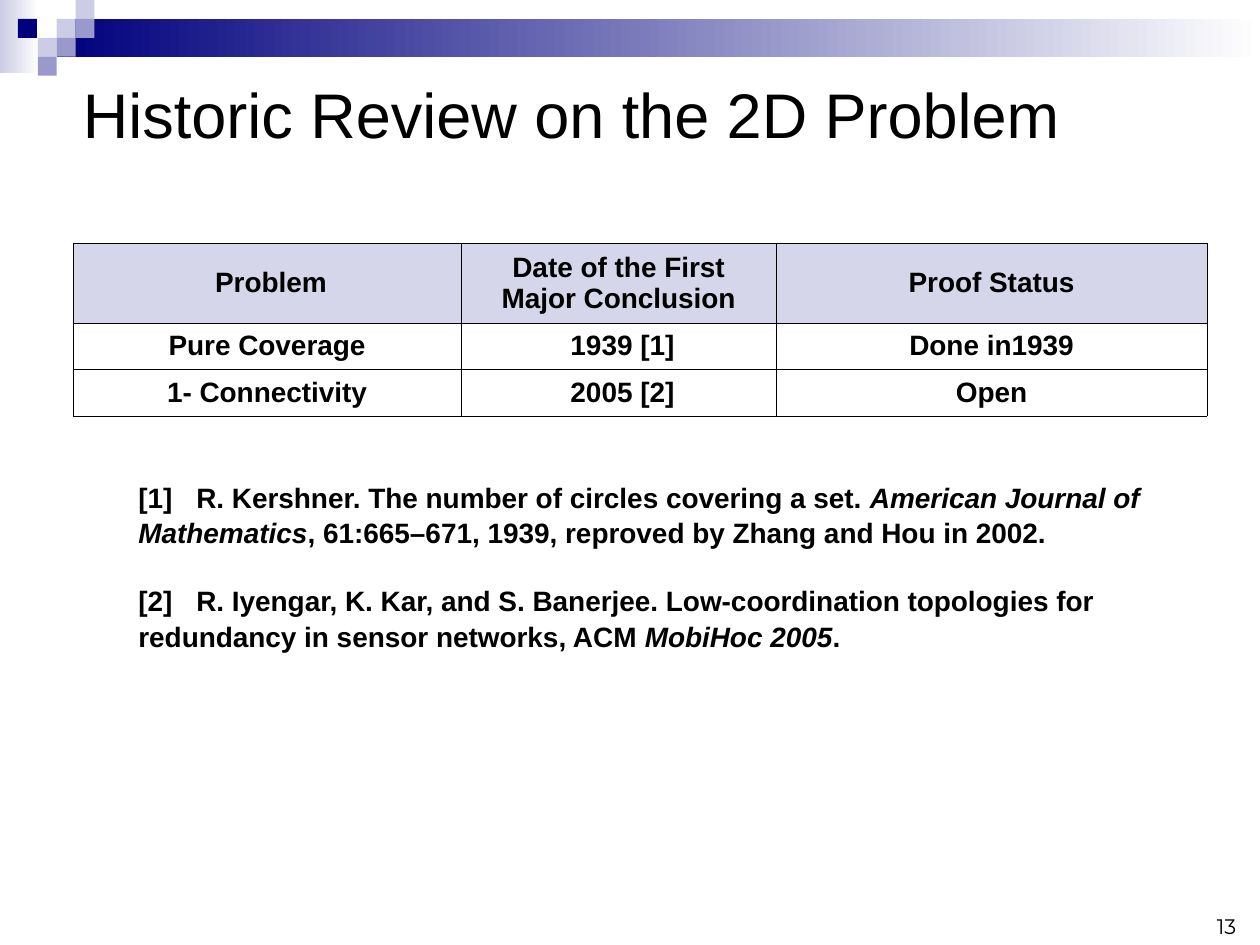
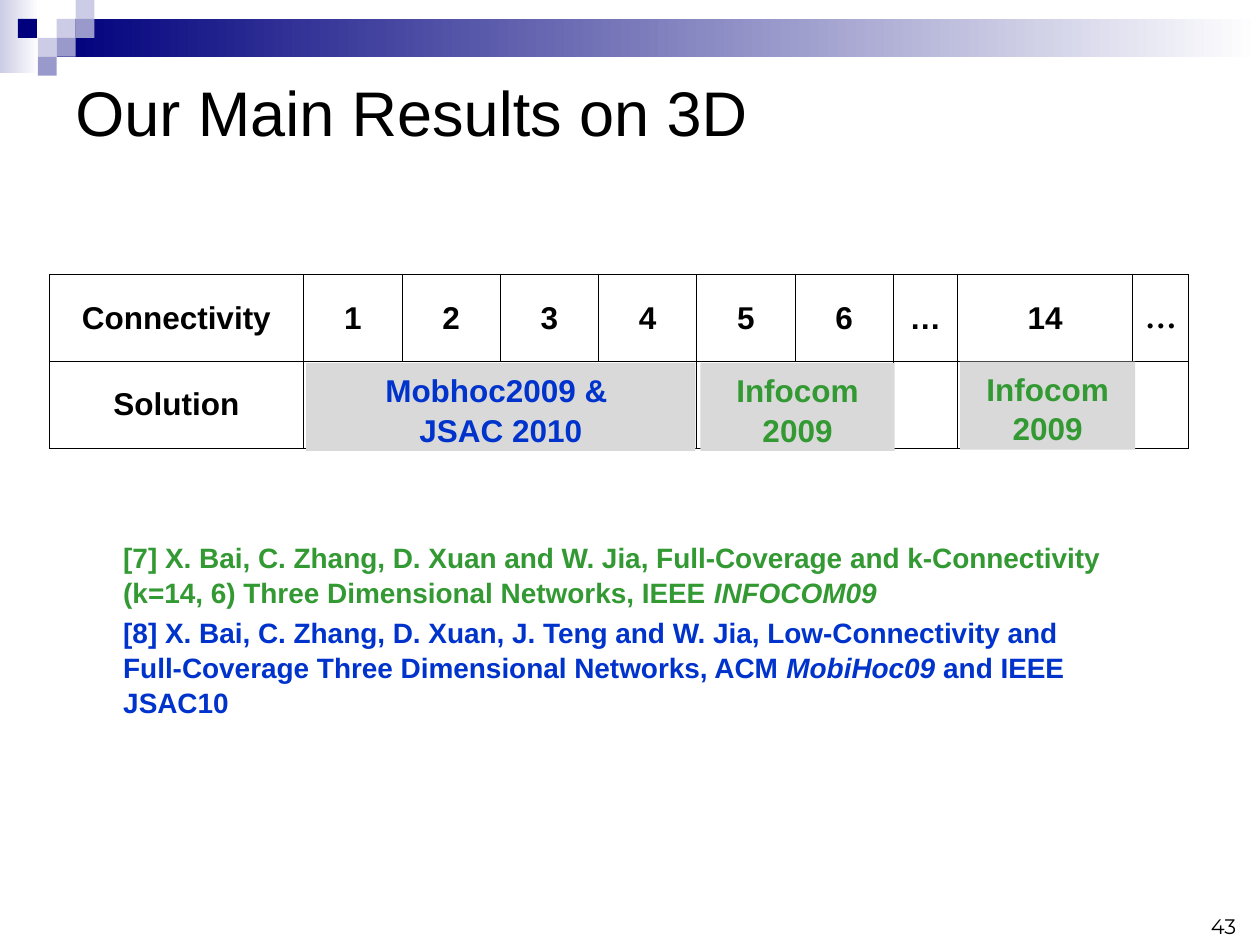
"""Build two slides of results on coverage and connectivity."""
from dataclasses import dataclass

from lxml import etree
from pptx import Presentation
from pptx import util as u
from pptx.dml.color import RGBColor
from pptx.enum import shapes, text
from pptx.oxml.ns import qn


@dataclass(frozen=True)
class Theme:
    black: str = "000000"
    white: str = "FFFFFF"
    navy: str = "00007D"
    lilac: str = "9999CC"
    pale: str = "CCCCE6"
    header: str = "D6D6EB"
    gray: str = "D9D9D9"
    green: str = "339933"
    blue: str = "0033CC"
    font: str = "Arial"
    number_font: str = "Montserrat"
    dots_font: str = "Times New Roman"
    title_size: int = 36
    large_size: int = 18
    body_size: int = 16
    number_size: int = 12
    border: float = 0.45
    leading: float = 1.05


class Builder:
    def __init__(self, theme):
        self.theme = theme
        self.deck = Presentation()
        self.deck.slide_width = u.Inches(10)
        self.deck.slide_height = u.Inches(7.5)
        self.page = None

    def add_page(self, title, title_area, number):
        theme = self.theme
        self.page = self.deck.slides.add_slide(self.deck.slide_layouts[6])
        self.add_rectangle((0, 0, 0.31, 0.58), theme.pale, theme.white)
        self.add_rectangle((0.45, 0.15, 9.55, 0.3), theme.navy, theme.white)
        step = 0.15
        squares = [(3, 1, theme.pale), (4, 0, theme.pale), (4, 1, theme.lilac),
                   (2, 2, theme.pale), (0.95, 1, theme.navy),
                   (3, 2, theme.lilac), (2, 3, theme.lilac)]
        for column, row, color in squares:
            self.add_rectangle((column * step, row * step, step, step), color)
        self.add_label((7.58, 7, 2.33, 0.5), number, theme.number_size,
                       theme.number_font, text.MSO_ANCHOR.BOTTOM, text.PP_ALIGN.RIGHT)
        self.add_label(title_area, title, theme.title_size)

    def style(self, paragraph, size, color, bold=True, font=None):
        paragraph.font.size = u.Pt(size)
        for span in paragraph.runs:
            span.font.name = font or self.theme.font
            span.font.size = u.Pt(size)
            span.font.bold = bold
            span.font.color.rgb = RGBColor.from_string(color)

    def add_rectangle(self, area, color, end_color=None):
        box = self.page.shapes.add_shape(
            shapes.MSO_SHAPE.RECTANGLE, *map(u.Inches, area))
        box.shadow.inherit = False
        box.line.fill.background()
        if end_color:
            box.fill.gradient()
            box.fill.gradient_angle = 0
            for stop, shade in zip(box.fill.gradient_stops, (color, end_color)):
                stop.color.rgb = RGBColor.from_string(shade)
        else:
            box.fill.solid()
            box.fill.fore_color.rgb = RGBColor.from_string(color)
        return box

    def add_frame(self, area, anchor):
        frame = self.page.shapes.add_textbox(*map(u.Inches, area)).text_frame
        frame.word_wrap = True
        frame.vertical_anchor = anchor
        return frame

    def add_label(self, area, label, size, font=None,
                  anchor=text.MSO_ANCHOR.MIDDLE, align=text.PP_ALIGN.LEFT):
        frame = self.add_frame(area, anchor)
        frame.text = label
        para = frame.paragraphs[0]
        para.alignment = align
        self.style(para, size, self.theme.black, bold=False, font=font)

    def add_references(self, area, references, color, gap=0, tab=None):
        frame = self.add_frame(area, text.MSO_ANCHOR.TOP)
        for index, (before, italic, after) in enumerate(references):
            para = frame.add_paragraph() if index else frame.paragraphs[0]
            para.line_spacing = self.theme.leading
            if index:
                para.space_before = u.Pt(gap)
            if tab:
                tabs = etree.SubElement(para._p.get_or_add_pPr(), qn("a:tabLst"))
                etree.SubElement(tabs, qn("a:tab"), pos=str(u.Inches(tab)), algn="l")
            for part in filter(None, (before, italic, after)):
                span = para.add_run()
                span.text = part
                span.font.italic = part == italic
            self.style(para, self.theme.body_size, color)

    def add_solution(self, area, label, color):
        box = self.add_rectangle(area, self.theme.gray)
        frame = box.text_frame
        frame.word_wrap = True
        frame.vertical_anchor = text.MSO_ANCHOR.TOP
        frame.text = label
        for para in frame.paragraphs:
            para.alignment = text.PP_ALIGN.CENTER
            para.line_spacing = self.theme.leading
            self.style(para, self.theme.large_size, color)

    def set_borders(self, cell):
        properties = cell._tc.get_or_add_tcPr()
        for side in ("lnL", "lnR", "lnT", "lnB"):
            line = etree.SubElement(properties, qn(f"a:{side}"),
                                    w=str(u.Pt(self.theme.border)))
            fill = etree.SubElement(line, qn("a:solidFill"))
            etree.SubElement(fill, qn("a:srgbClr"), val=self.theme.black)

    def add_table(self, corner, widths, heights, rows, size, header=None):
        area = (*corner, sum(widths), sum(heights))
        table = self.page.shapes.add_table(
            len(rows), len(widths), *map(u.Inches, area)).table
        table.first_row = table.horz_banding = False
        for column, width in zip(table.columns, widths):
            column.width = u.Inches(width)
        for row, height in zip(table.rows, heights):
            row.height = u.Inches(height)
        for row_index, row in enumerate(rows):
            for column_index, label in enumerate(row):
                cell = table.cell(row_index, column_index)
                self.set_borders(cell)
                if header and row_index == 0:
                    cell.fill.solid()
                    cell.fill.fore_color.rgb = RGBColor.from_string(header)
                else:
                    cell.fill.background()
                cell.vertical_anchor = text.MSO_ANCHOR.MIDDLE
                cell.text_frame.text = label
                para = cell.text_frame.paragraphs[0]
                para.alignment = text.PP_ALIGN.CENTER
                self.style(para, size, self.theme.black)
        return table


def add_review(builder):
    theme = builder.theme
    builder.add_page("Historic Review on the 2D Problem", (0.56, 0.47, 8.72, 0.86), "13")
    rows = [(" Problem", "Date of the First Major Conclusion", "Proof Status"),
            ("Pure Coverage", " 1939 [1]", "Done in1939"),
            ("1- Connectivity", " 2005 [2]", "Open")]
    builder.add_table((0.58, 1.93), (3.08, 2.5, 3.42), (0.63, 0.37, 0.37),
                      rows, theme.body_size, theme.header)
    references = [
        ("[1]\tR. Kershner. The number of circles covering a set. ",
         "American Journal of Mathematics",
         ", 61:665–671, 1939, reproved by Zhang and Hou in 2002."),
        ("[2]\tR. Iyengar, K. Kar, and S. Banerjee. Low-coordination topologies "
         "for redundancy in sensor networks, ACM ", "MobiHoc 2005", ".")]
    builder.add_references((1, 3.75, 8.33, 1.44), references, theme.black,
                           gap=19, tab=0.46)


def add_results(builder):
    theme = builder.theme
    builder.add_page("Our Main Results on 3D", (0.5, 0.59, 9, 0.58), "43")
    rows = [("Connectivity", *"123456", "…", "14", "…"),
            ("Solution", *[""] * 9)]
    table = builder.add_table((0.39, 2.18), (2.02, *[0.78] * 6, 0.51, 1.39, 0.44),
                              (0.69, 0.69), rows, theme.large_size)
    last_dots = table.cell(0, 9).text_frame.paragraphs[0]
    builder.style(last_dots, theme.large_size, theme.black, font=theme.dots_font)
    for first, last in ((1, 4), (5, 6)):
        table.cell(1, first).merge(table.cell(1, last))
    solutions = [((5.56, 2.88, 1.54, 0.7), "Infocom 2009", theme.green),
                 ((7.62, 2.87, 1.39, 0.7), "Infocom 2009", theme.green),
                 ((2.43, 2.88, 3.09, 0.7), "Mobhoc2009 & \nJSAC 2010", theme.blue)]
    for solution in solutions:
        builder.add_solution(*solution)
    builder.add_references(
        (0.88, 4.23, 8.2, 0.64),
        [("[7] X. Bai, C. Zhang, D. Xuan and W. Jia, Full-Coverage and k-Connectivity "
          "(k=14, 6) Three Dimensional Networks, IEEE ", "INFOCOM09", "")], theme.green)
    builder.add_references(
        (0.88, 4.82, 7.96, 0.94),
        [("[8] X. Bai, C. Zhang, D. Xuan, J. Teng and W. Jia, Low-Connectivity and "
          "Full-Coverage Three Dimensional Networks, ACM ", "MobiHoc09 ",
          "and IEEE JSAC10")], theme.blue)


def main():
    builder = Builder(Theme())
    add_review(builder)
    add_results(builder)
    builder.deck.save("out.pptx")


if __name__ == "__main__":
    main()
